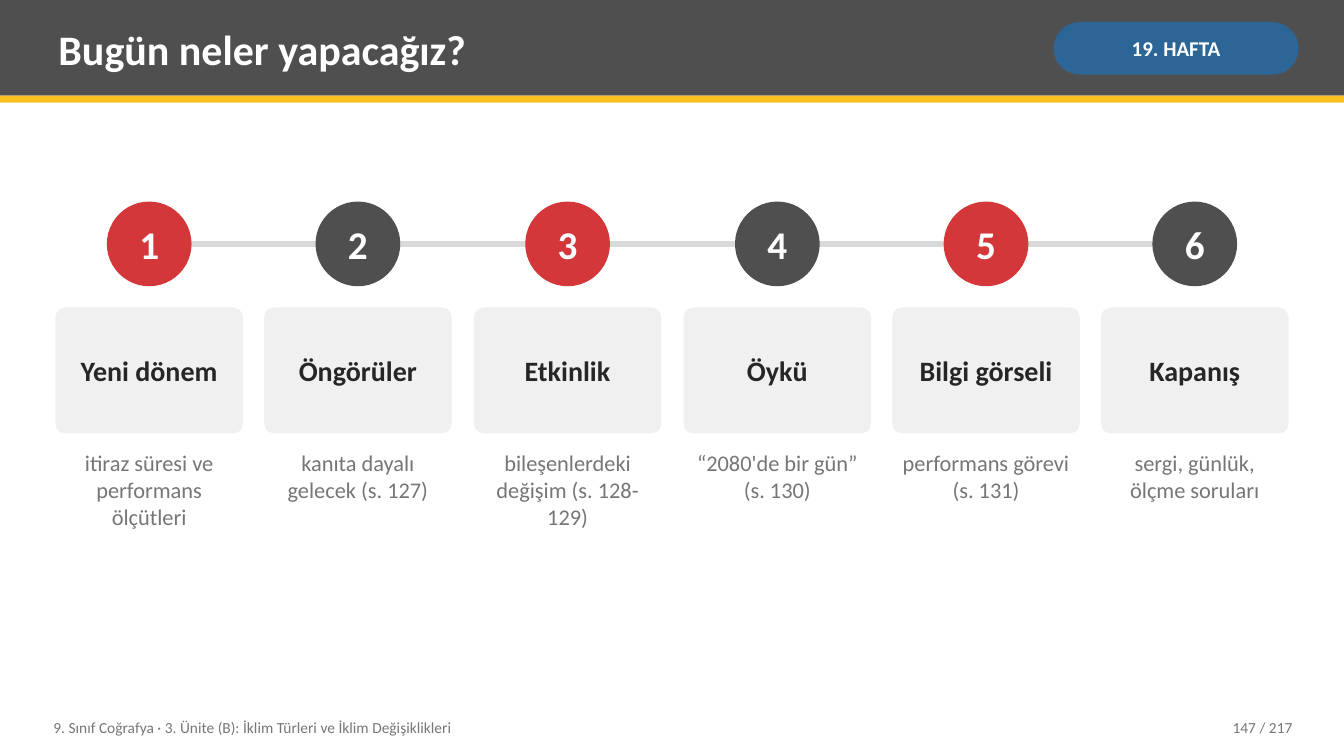
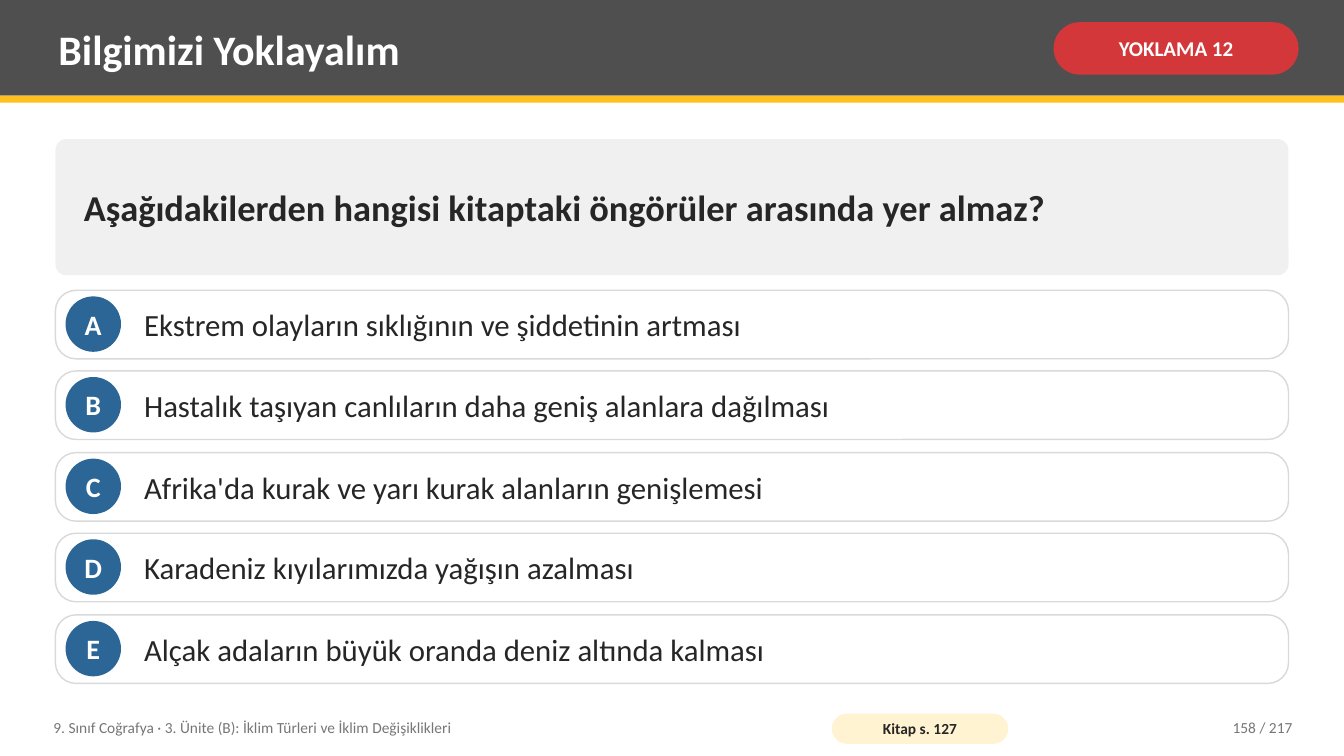
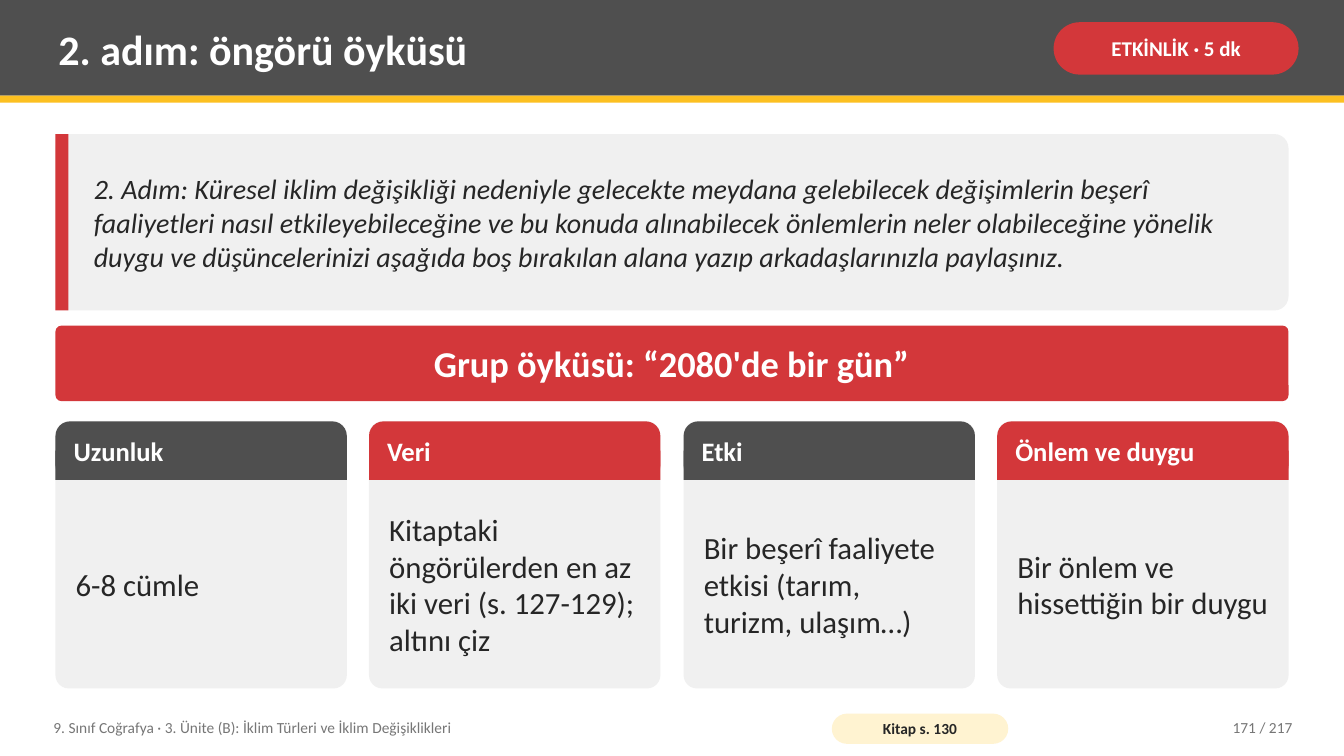
import lxml.etree
import pptx
import pptx.dml.color
import pptx.enum.shapes
import pptx.enum.text
import pptx.oxml.ns
import pptx.util

RGB = pptx.dml.color.RGBColor
SHAPE = pptx.enum.shapes.MSO_SHAPE
ALIGN = pptx.enum.text.PP_ALIGN
ANCHOR = pptx.enum.text.MSO_ANCHOR

# Palette
CHARCOAL = RGB(0x4F, 0x4F, 0x4F)
YELLOW = RGB(0xFC, 0xC0, 0x21)
CREAM = RGB(0xFF, 0xF3, 0xD1)
BLUE = RGB(0x2C, 0x66, 0x96)
RED = RGB(0xD3, 0x37, 0x3A)
PANEL = RGB(0xF0, 0xF0, 0xF0)
RULE = RGB(0xD9, 0xD9, 0xD9)
INK = RGB(0x26, 0x26, 0x26)
MUTED = RGB(0x76, 0x76, 0x76)
WHITE = RGB(0xFF, 0xFF, 0xFF)

# Layout, in px (100 px to the inch)
SCALE = 9144
PAGE_WIDTH, PAGE_HEIGHT = 1333, 750
LEFT, WIDTH, GAP = 55, 1223, 22

FONT = "Calibri"
COURSE = "9. Sınıf Coğrafya · 3. Ünite (B): İklim Türleri ve İklim Değişiklikleri"
PAGE_TOTAL = 217


def px(length):
    return pptx.util.Emu(length * SCALE)


def split(start, length, count, gap):
    """Return the start of each equal part and the size of one part."""
    size = (length - gap * (count - 1)) / count
    starts = [round(start + index * (size + gap)) for index in range(count)]
    return starts, round(size)


class Deck:
    """Holds the shared style and the page being drawn."""

    def __init__(self):
        self.file = pptx.Presentation()
        self.file.slide_width = px(PAGE_WIDTH)
        self.file.slide_height = px(PAGE_HEIGHT)
        self.page = None

    def label(self, box, text, size, color=INK, bold=False, italic=False,
              align=ALIGN.LEFT, anchor=ANCHOR.MIDDLE, inset=(8, 4), wrap=True):
        frame = box.text_frame
        frame.word_wrap = wrap
        frame.vertical_anchor = anchor
        frame.margin_left = frame.margin_right = px(inset[0])
        frame.margin_top = frame.margin_bottom = px(inset[1])
        para = frame.paragraphs[0]
        para.alignment = align
        span = para.add_run()
        span.text = text
        span.font.name = FONT
        span.font.size = pptx.util.Pt(size)
        span.font.bold = bold
        span.font.italic = italic
        span.font.color.rgb = color

    def text(self, left, top, width, height, text, size, **style):
        box = self.page.shapes.add_textbox(px(left), px(top), px(width), px(height))
        self.label(box, text, size, **style)

    def shape(self, kind, left, top, width, height, fill, outline=None):
        shape = self.page.shapes.add_shape(kind, px(left), px(top), px(width), px(height))
        shape.shadow.inherit = False
        shape.fill.solid()
        shape.fill.fore_color.rgb = fill
        if outline is None:
            shape.line.fill.background()
        else:
            shape.line.color.rgb = outline
            shape.line.width = pptx.util.Pt(1)
        return shape

    def bar(self, left, top, width, height, fill):
        return self.shape(SHAPE.RECTANGLE, left, top, width, height, fill)

    def rounded(self, left, top, width, height, fill, radius=0.08, outline=None):
        shape = self.shape(SHAPE.ROUNDED_RECTANGLE, left, top, width, height, fill, outline)
        shape.adjustments[0] = radius
        return shape

    def pill(self, left, top, width, height, fill, text, size, color, inset):
        box = self.rounded(left, top, width, height, fill, radius=0.5)
        self.label(box, text, size, color=color, bold=True, align=ALIGN.CENTER, inset=inset)

    def disc(self, left, top, diameter, fill, text, size):
        box = self.shape(SHAPE.OVAL, left, top, diameter, diameter, fill)
        self.label(box, text, size, color=WHITE, bold=True, align=ALIGN.CENTER,
                   inset=(0, 0), wrap=False)

    def line(self, x1, y1, x2, y2, color, weight):
        line = self.page.shapes.add_connector(
            pptx.enum.shapes.MSO_CONNECTOR.STRAIGHT, px(x1), px(y1), px(x2), px(y2))
        line.line.color.rgb = color
        line.line.width = pptx.util.Pt(weight)
        lxml.etree.SubElement(line.element.spPr, pptx.oxml.ns.qn("a:effectLst"))

    def card(self, left, top, width, height, color, title, body):
        head = 58
        self.rounded(left, top, width, height, PANEL, radius=0.05)
        self.rounded(left, top, width, head, color, radius=0.25)
        self.bar(left, top + head // 2, width, head // 2, color)
        self.text(left + 10, top, width - 20, head, title, 19, color=WHITE, bold=True)
        self.text(left + 12, top + head + 8, width - 24, height - head - 16, body, 22)

    def start(self, title, badge, badge_color):
        """Begin a page with its title band and badge."""
        self.page = self.file.slides.add_slide(self.file.slide_layouts[6])
        self.page.background.fill.solid()
        self.page.background.fill.fore_color.rgb = WHITE
        self.bar(0, 0, PAGE_WIDTH, 95, CHARCOAL)
        self.bar(0, 95, PAGE_WIDTH, 7, YELLOW)
        self.text(50, 7, 975, 82, title, 30, color=WHITE, bold=True)
        self.pill(1045, 22, 243, 52, badge_color, badge, 15, WHITE, (5, 2))

    def finish(self, number, book_page=None):
        """End a page with its footer."""
        self.text(45, 704, 760, 36, COURSE, 11, color=MUTED)
        if book_page:
            self.pill(825, 708, 175, 30, CREAM, f"Kitap s. {book_page}", 11, INK, (4, 0))
        self.text(1130, 704, 160, 36, f"{number} / {PAGE_TOTAL}", 11,
                  color=MUTED, align=ALIGN.RIGHT)


def agenda(deck):
    steps = [
        ("Yeni dönem", "itiraz süresi ve performans ölçütleri"),
        ("Öngörüler", "kanıta dayalı gelecek (s. 127)"),
        ("Etkinlik", "bileşenlerdeki değişim (s. 128-129)"),
        ("Öykü", "“2080'de bir gün” (s. 130)"),
        ("Bilgi görseli", "performans görevi (s. 131)"),
        ("Kapanış", "sergi, günlük, ölçme soruları"),
    ]
    deck.start("Bugün neler yapacağız?", "19. HAFTA", BLUE)
    columns, width = split(LEFT, WIDTH, len(steps), GAP)
    top, diameter = 200, 84
    middle = top + diameter // 2
    deck.line(columns[0] + width // 2, middle, columns[-1] + width // 2, middle, RULE, 4)
    for index, (left, (name, detail)) in enumerate(zip(columns, steps)):
        color = CHARCOAL if index % 2 else RED
        deck.disc(left + (width - diameter) // 2, top, diameter, color, str(index + 1), 28)
        box = deck.rounded(left, 305, width, 125, PANEL)
        deck.label(box, name, 20, bold=True, align=ALIGN.CENTER, inset=(8, 8))
        deck.text(left, 442, width, 190, detail, 16, color=MUTED,
                  align=ALIGN.CENTER, anchor=ANCHOR.TOP)
    deck.finish(147)


def quiz(deck):
    answers = [
        "Ekstrem olayların sıklığının ve şiddetinin artması",
        "Hastalık taşıyan canlıların daha geniş alanlara dağılması",
        "Afrika'da kurak ve yarı kurak alanların genişlemesi",
        "Karadeniz kıyılarımızda yağışın azalması",
        "Alçak adaların büyük oranda deniz altında kalması",
    ]
    deck.start("Bilgimizi Yoklayalım", "YOKLAMA 12", RED)
    question = deck.rounded(LEFT, 138, WIDTH, 135, PANEL)
    deck.label(question, "Aşağıdakilerden hangisi kitaptaki öngörüler arasında yer almaz?",
               26, bold=True, inset=(25, 8))
    rows, height = split(288, 390, len(answers), 12)
    diameter = 55
    for letter, top, answer in zip("ABCDE", rows, answers):
        deck.rounded(LEFT, top, WIDTH, height, WHITE, radius=0.3, outline=RULE)
        deck.disc(LEFT + 10, top + round((height - diameter) / 2), diameter, BLUE, letter, 20)
        deck.text(LEFT + 80, top, WIDTH - 100, height, answer, 22)
    deck.finish(158, 127)


def story(deck):
    cards = [
        ("Uzunluk", "6-8 cümle"),
        ("Veri", "Kitaptaki öngörülerden en az iki veri (s. 127-129); altını çiz"),
        ("Etki", "Bir beşerî faaliyete etkisi (tarım, turizm, ulaşım…)"),
        ("Önlem ve duygu", "Bir önlem ve hissettiğin bir duygu"),
    ]
    deck.start("2. adım: öngörü öyküsü", "ETKİNLİK · 5 dk", RED)

    # Instruction with its accent bar
    top, height = 133, 175
    deck.rounded(LEFT, top, WIDTH, height, PANEL)
    deck.bar(LEFT, top, 13, height, RED)
    deck.text(LEFT + 30, top, WIDTH - 45, height,
              "2. Adım: Küresel iklim değişikliği nedeniyle gelecekte meydana gelebilecek "
              "değişimlerin beşerî faaliyetleri nasıl etkileyebileceğine ve bu konuda "
              "alınabilecek önlemlerin neler olabileceğine yönelik duygu ve düşüncelerinizi "
              "aşağıda boş bırakılan alana yazıp arkadaşlarınızla paylaşınız.",
              20, italic=True)

    # Task banner and its cards
    banner = deck.rounded(LEFT, 323, WIDTH, 75, RED)
    deck.label(banner, "Grup öyküsü: “2080'de bir gün”", 26, color=WHITE, bold=True,
               align=ALIGN.CENTER, inset=(14, 8))
    columns, width = split(LEFT, WIDTH, len(cards), GAP)
    for index, (left, (title, body)) in enumerate(zip(columns, cards)):
        deck.card(left, 418, width, 265, RED if index % 2 else CHARCOAL, title, body)
    deck.finish(171, 130)


def main():
    deck = Deck()
    agenda(deck)
    quiz(deck)
    story(deck)
    deck.file.save("out.pptx")


if __name__ == "__main__":
    main()
